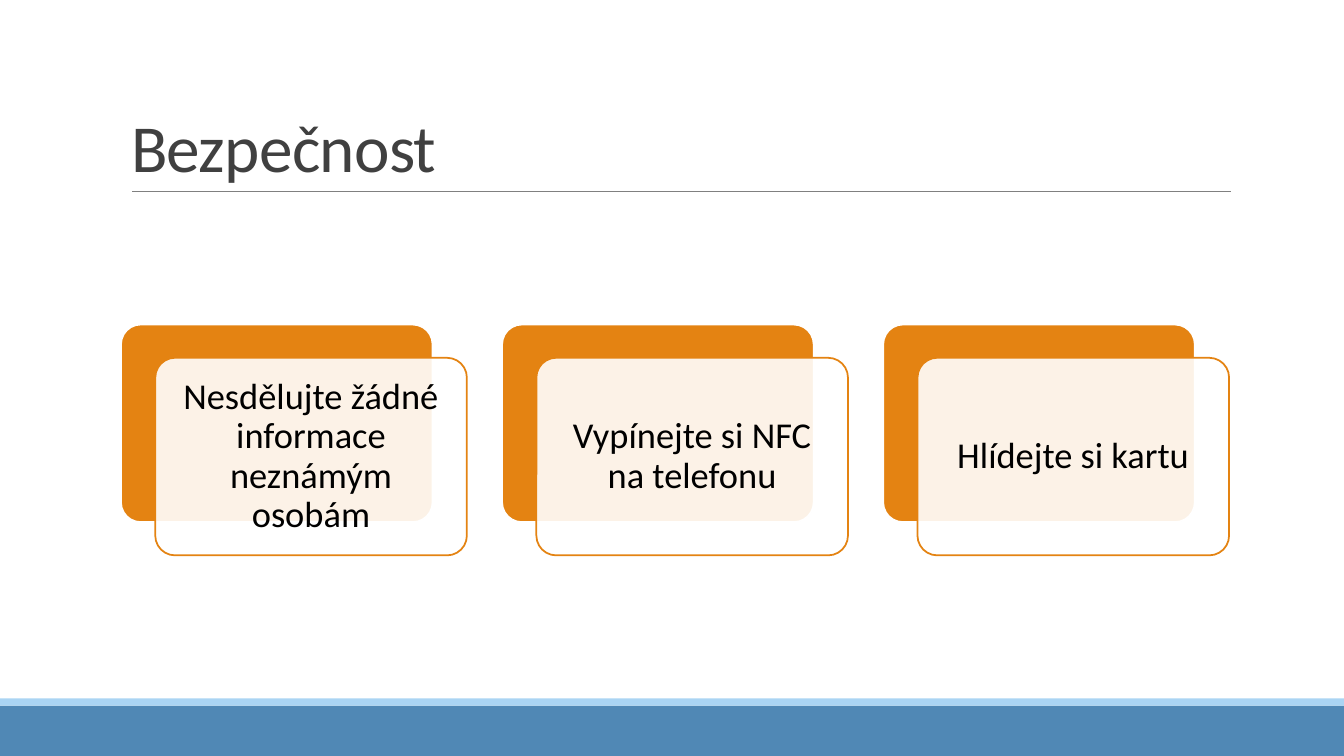
from lxml import etree
from pptx import Presentation
from pptx.dml.color import RGBColor
from pptx.enum.shapes import MSO_CONNECTOR, MSO_SHAPE
from pptx.enum.text import MSO_ANCHOR, MSO_AUTO_SIZE, PP_ALIGN
from pptx.oxml.ns import qn
from pptx.util import Inches, Pt

COLORS = {
    "band": "5088B5",
    "stripe": "AAD4F3",
    "rule": "808080",
    "title": "404040",
    "accent": "E48312",
    "white": "FFFFFF",
    "text": "000000",
}
WIDTH, HEIGHT = 13.33, 7.5
MESSAGES = [
    "Nesdělujte žádné informace neznámým osobám",
    "Vypínejte si NFC na telefonu",
    "Hlídejte si kartu",
]
CARD_WIDTH, CARD_HEIGHT = 3.09, 1.96
CARDS_LEFT, CARDS_TOP, CARD_STEP = 1.2, 3.22, 3.78
FRONT_SHIFT_X, FRONT_SHIFT_Y = 0.34, 0.33


def add_filled(kind, left, top, width, height, fill, line=None):
    shape = slide.shapes.add_shape(
        kind, Inches(left), Inches(top), Inches(width), Inches(height))
    shape.shadow.inherit = False
    shape.fill.solid()
    shape.fill.fore_color.rgb = RGBColor.from_string(COLORS[fill])
    if line:
        shape.line.color.rgb = RGBColor.from_string(COLORS[line])
        shape.line.width = Pt(1.25)
    else:
        shape.line.fill.background()
    return shape


def format_text(paragraph, size, color, spacing):
    paragraph.line_spacing = spacing
    font = paragraph.runs[0].font
    font.name = "Calibri"
    font.size = Pt(size)
    font.color.rgb = RGBColor.from_string(COLORS[color])


presentation = Presentation()
presentation.slide_width = Inches(WIDTH)
presentation.slide_height = Inches(HEIGHT)
slide = presentation.slides.add_slide(presentation.slide_layouts[5])

# Footer bands and title rule
add_filled(MSO_SHAPE.RECTANGLE, 0, 7, WIDTH, 0.5, "band")
add_filled(MSO_SHAPE.RECTANGLE, 0, 6.93, WIDTH, 0.07, "stripe")
rule = slide.shapes.add_connector(
    MSO_CONNECTOR.STRAIGHT, Inches(1.31), Inches(1.9), Inches(12.21), Inches(1.9))
rule.line.color.rgb = RGBColor.from_string(COLORS["rule"])
rule.line.width = Pt(0.5)
etree.SubElement(rule.element.spPr, qn("a:effectLst"))

# Title
title = slide.shapes.title
title.left, title.top = Inches(1.2), Inches(0.31)
title.width, title.height = Inches(11), Inches(1.59)
title.text_frame.text = "Bezpečnost"
title.text_frame.auto_size = MSO_AUTO_SIZE.NONE
title.text_frame.vertical_anchor = MSO_ANCHOR.BOTTOM
title_paragraph = title.text_frame.paragraphs[0]
title_paragraph.alignment = PP_ALIGN.LEFT
format_text(title_paragraph, 48, "title", 0.85)
title_paragraph.runs[0].font._element.set("spc", "-50")

# Cards: an orange back plate with a translucent front plate
for column, message in enumerate(MESSAGES):
    left = CARDS_LEFT + column * CARD_STEP
    back = add_filled(MSO_SHAPE.ROUNDED_RECTANGLE, left, CARDS_TOP,
                      CARD_WIDTH, CARD_HEIGHT, "accent", "white")
    front = add_filled(MSO_SHAPE.ROUNDED_RECTANGLE, left + FRONT_SHIFT_X,
                       CARDS_TOP + FRONT_SHIFT_Y, CARD_WIDTH, CARD_HEIGHT,
                       "white", "accent")
    back.adjustments[0] = front.adjustments[0] = 0.1
    front_color = front.element.spPr.find(qn("a:solidFill"))[0]
    etree.SubElement(front_color, qn("a:alpha"), val="90000")

    frame = front.text_frame
    frame.text = message
    frame.word_wrap = True
    frame.vertical_anchor = MSO_ANCHOR.MIDDLE
    frame.margin_left = frame.margin_right = Inches(0.11)
    frame.margin_top = frame.margin_bottom = Inches(0.11)
    frame.paragraphs[0].alignment = PP_ALIGN.CENTER
    format_text(frame.paragraphs[0], 26, "text", 0.9)

presentation.save("out.pptx")
